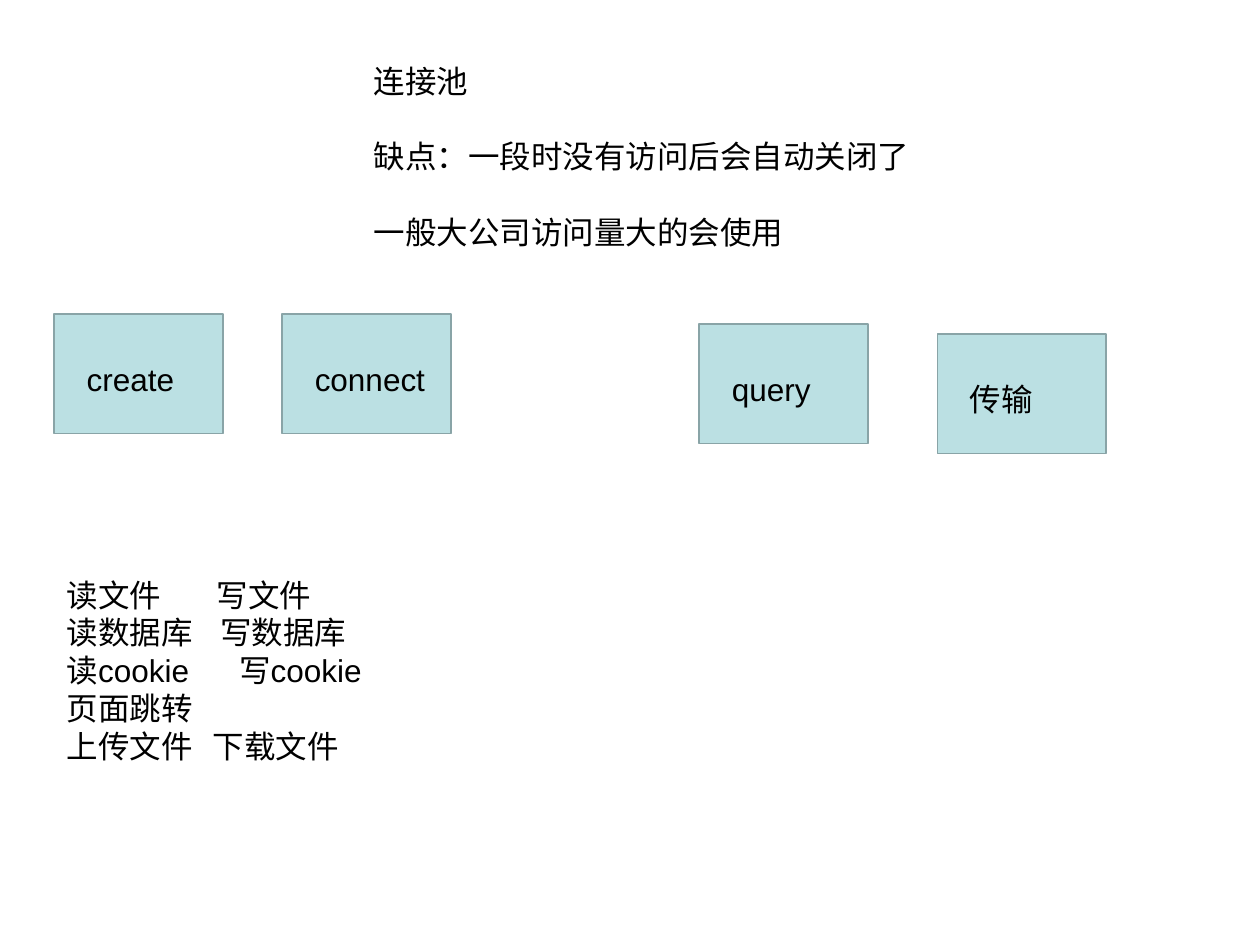
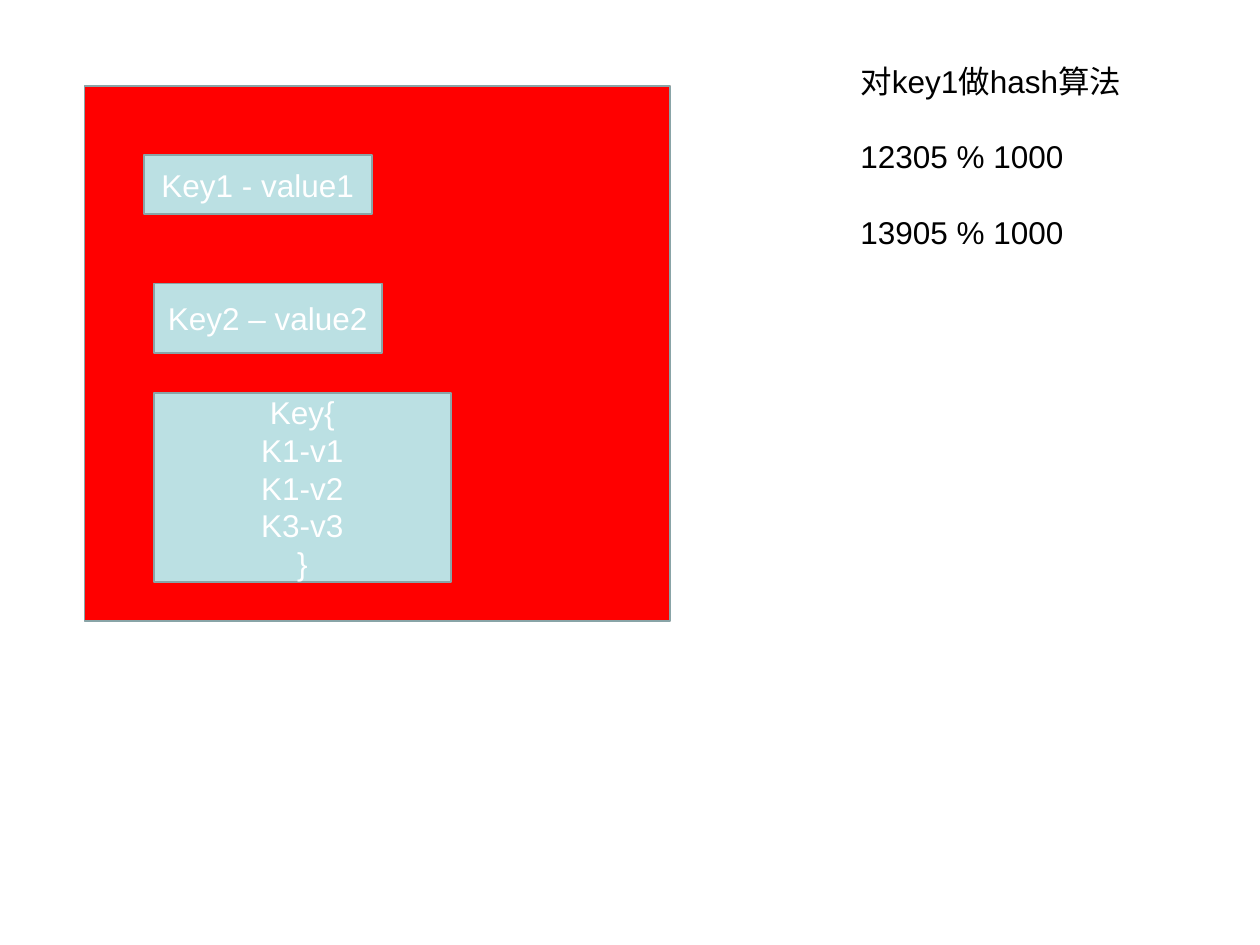
from pptx import Presentation
from pptx.dml.color import RGBColor
from pptx.enum import shapes, text
from pptx.util import Inches, Pt

# Shared style
BLACK = RGBColor(0x00, 0x00, 0x00)
WHITE = RGBColor(0xFF, 0xFF, 0xFF)
RED = RGBColor(0xFF, 0x00, 0x00)
PALE_TEAL = RGBColor(0xBB, 0xE0, 0xE3)
EDGE = RGBColor(0x89, 0xA4, 0xA7)
FONT, SIZE, LINE = "Arial", Pt(18), Pt(21.6)

# Slide 1: connection pool
POOL_NOTES = ["连接池", "缺点：一段时没有访问后会自动关闭了", "一般大公司访问量大的会使用"]
STEP_W, STEP_H = 1.34, 0.95
LABEL_DX, LABEL_DY, LABEL_H = 0.16, 0.32, 0.4
STEPS = [  # label, left, top, label width
    ("create", 0.43, 2.49, 0.94),
    ("connect", 2.24, 2.49, 1.26),
    ("query", 5.55, 2.57, 0.95),
    ("传输", 7.44, 2.65, 0.94),
]
OPERATIONS = [  # left part, right part, tab stop of the right part
    ("读文件", "写文件", 1.19),
    ("读数据库", "写数据库", 1.22),
    ("读cookie", "写cookie", 1.37),
    ("页面跳转", None, None),
    ("上传文件", "下载文件", 1.16),
]

# Slide 2: key-value store
HASH_NOTES = ["对key1做hash算法", "12305 % 1000", "13905 % 1000"]
STORE = (0.67, 0.68, 4.65, 4.25)
ENTRIES = [  # lines, (left, top, width, height)
    (["Key1 - value1"], (1.14, 1.23, 1.81, 0.47)),
    (["Key2 – value2"], (1.22, 2.25, 1.81, 0.55)),
    (["Key{", "K1-v1", "K1-v2", "K3-v3", "}"], (1.22, 3.12, 2.36, 1.5)),
]


def write(sp, lines, color=BLACK, align=text.PP_ALIGN.LEFT,
          anchor=text.MSO_ANCHOR.TOP, gap=0):
    tf = sp.text_frame
    tf.word_wrap = True
    tf.vertical_anchor = anchor
    for i, line in enumerate(lines):
        p = tf.paragraphs[0] if i == 0 else tf.add_paragraph()
        p.alignment = align
        p.line_spacing = LINE
        if i and gap:
            p.space_before = gap
        r = p.add_run()
        r.text = line
        r.font.name, r.font.size = FONT, SIZE
        r.font.color.rgb = color
    return tf


def add_text(slide, box, lines, **style):
    sp = slide.shapes.add_textbox(*map(Inches, box))
    return write(sp, lines, **style)


def add_box(slide, box, fill=PALE_TEAL):
    sp = slide.shapes.add_shape(shapes.MSO_SHAPE.RECTANGLE, *map(Inches, box))
    sp.shadow.inherit = False
    sp.fill.solid()
    sp.fill.fore_color.rgb = fill
    sp.line.color.rgb = EDGE
    sp.line.width = Pt(1)
    return sp


def add_tab(p, inches):
    pPr = p._p.get_or_add_pPr()
    tabs = pPr.makeelement(pPr.tag.replace("}pPr", "}tabLst"), {})
    tab = tabs.makeelement(pPr.tag.replace("}pPr", "}tab"),
                           {"pos": str(Inches(inches)), "algn": "l"})
    tabs.append(tab)
    pPr.append(tabs)


def build_pool(slide):
    add_text(slide, (2.87, 0.44, 4.8, 1.6), POOL_NOTES, gap=LINE)
    # Steps with their labels
    for label, left, top, width in STEPS:
        add_box(slide, (left, top, STEP_W, STEP_H))
        add_text(slide, (left + LABEL_DX, top + LABEL_DY, width, LABEL_H), [label])
    # Operations in two tabbed columns
    lines = [f"{a}\t{b}" if b else a for a, b, _ in OPERATIONS]
    tf = add_text(slide, (0.43, 4.52, 8.58, 1.9), lines)
    for p, (_, _, stop) in zip(tf.paragraphs, OPERATIONS):
        if stop:
            add_tab(p, stop)


def build_store(slide):
    add_text(slide, (6.73, 0.44, 3.07, 2.2), HASH_NOTES, gap=LINE)
    # Store and its entries
    add_box(slide, STORE, RED)
    for lines, box in ENTRIES:
        write(add_box(slide, box), lines, WHITE,
              text.PP_ALIGN.CENTER, text.MSO_ANCHOR.MIDDLE)


def main():
    prs = Presentation()
    prs.slide_width, prs.slide_height = Inches(10), Inches(7.5)
    for build in (build_pool, build_store):
        build(prs.slides.add_slide(prs.slide_layouts[6]))
    prs.save("out.pptx")


if __name__ == "__main__":
    main()
